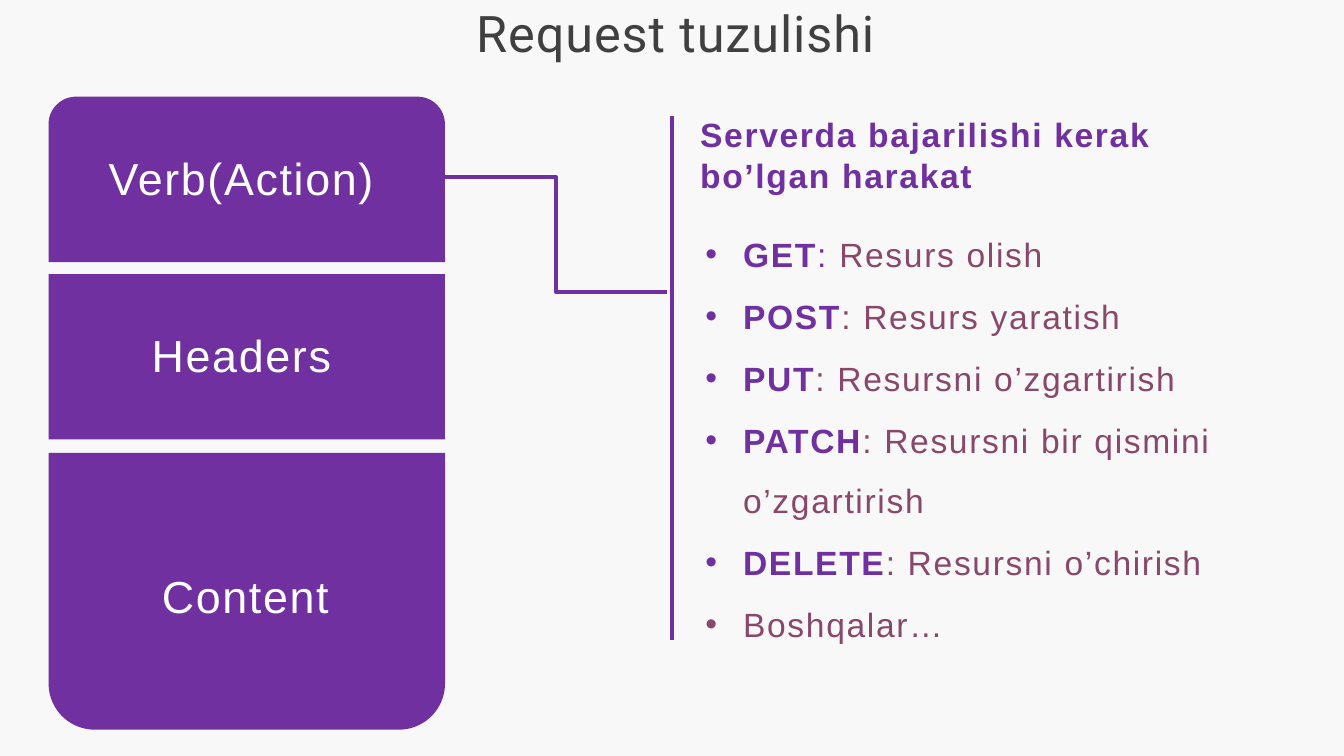
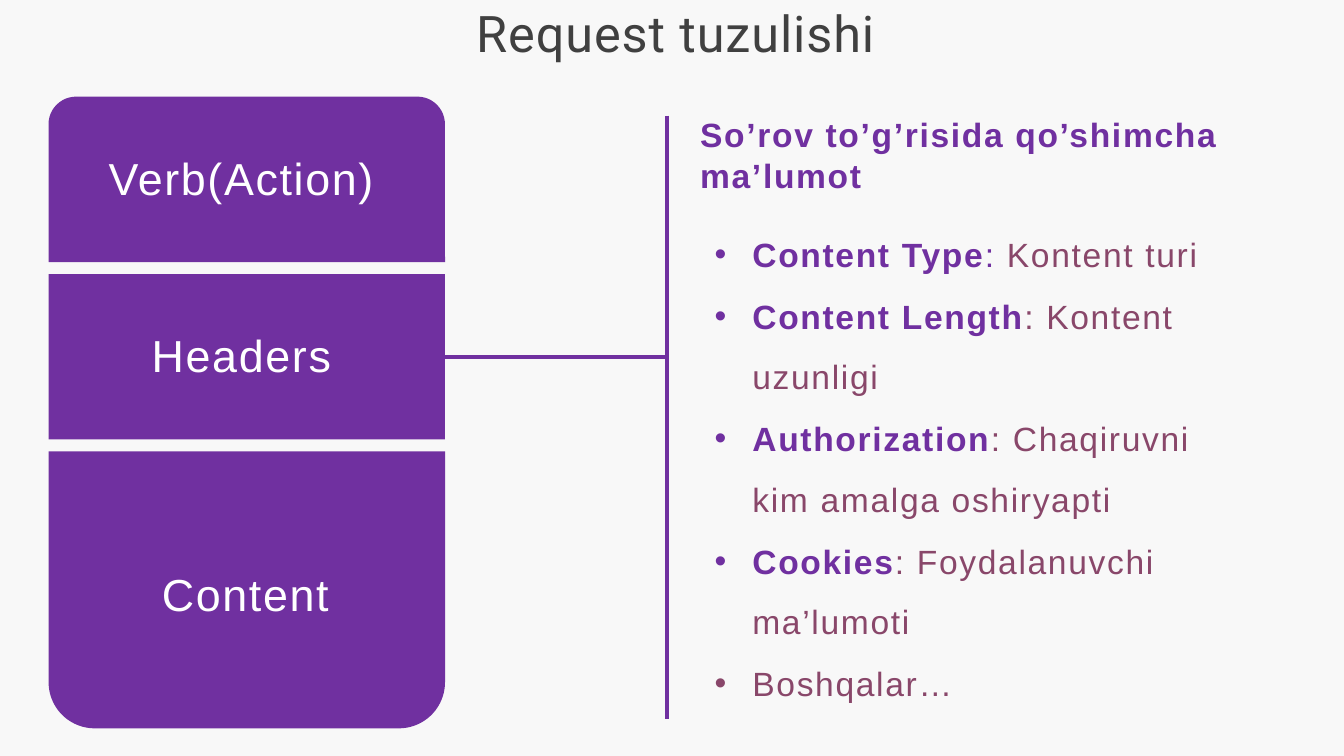
from lxml.etree import SubElement
from pptx import Presentation
from pptx.dml.color import RGBColor
from pptx.enum.shapes import MSO_CONNECTOR, MSO_SHAPE
from pptx.enum.text import MSO_AUTO_SIZE
from pptx.oxml.ns import qn
from pptx.util import Pt

BACKGROUND = RGBColor(0xF8, 0xF8, 0xF8)
PURPLE = RGBColor(0x70, 0x30, 0xA0)
PLUM = RGBColor(0x89, 0x47, 0x6A)
GRAY = RGBColor(0x40, 0x40, 0x40)
WHITE = RGBColor(0xFF, 0xFF, 0xFF)

TITLE = {"name": "Roboto", "size": Pt(27), "color": GRAY, "spacing": 50}
LABEL = {"name": "Arial", "size": Pt(24), "color": WHITE, "spacing": 90}
BODY = {"name": "Arial", "size": Pt(18), "color": PLUM, "spacing": 90, "bold": False}
COLON = {**BODY, "color": PURPLE}
TERM = {**COLON, "bold": True}

BAND_LEFT, BAND_WIDTH, BAND_HEIGHT = 26, 212.4, 88.6
BAND_RIGHT = BAND_LEFT + BAND_WIDTH
VERB_TOP, HEADERS_TOP = 51.8, 146.9
PANEL_LEFT, PANEL_WIDTH, RULE_TOP = 357.2, 306, 62

VERBS = [
    ("GET", ": ", "Resurs olish"),
    ("POST", "", ": Resurs yaratish"),
    ("PUT", "", ": Resursni o’zgartirish"),
    ("PATCH", "", ": Resursni bir qismini o’zgartirish"),
    ("DELETE", "", ": Resursni o’chirish"),
    ("", "", "Boshqalar…"),
]
HEADERS = [
    ("Content Type", ": ", "Kontent turi"),
    ("Content Length", "", ": Kontent uzunligi"),
    ("Authorization", "", ": Chaqiruvni kim amalga oshiryapti"),
    ("Cookies", "", ": Foydalanuvchi ma’lumoti"),
    ("", "", "Boshqalar…"),
]


def add_run(p, text, style):
    """Append a run formatted from a style dict."""
    r = p.add_run()
    r.text = text
    for name, value in style.items():
        if name == "color":
            r.font.color.rgb = value
        elif name == "spacing":
            r.font._element.set("spc", str(value))
        else:
            setattr(r.font, name, value)


def add_text_frame(s, left, top, width, height):
    """Add a wrapping text box and return its text frame."""
    tf = s.shapes.add_textbox(Pt(left), Pt(top), Pt(width), Pt(height)).text_frame
    tf.word_wrap = True
    tf.auto_size = MSO_AUTO_SIZE.SHAPE_TO_FIT_TEXT
    return tf


def format_paragraph(p, margin, indent=0):
    """Set the left margin, indent and space before of a paragraph."""
    p.space_before = Pt(0.8)
    pPr = p._p.get_or_add_pPr()
    pPr.set("marL", str(Pt(margin)))
    pPr.set("indent", str(Pt(indent)))
    return pPr


def add_text(s, left, top, width, height, text, style, margin=10.8):
    """Add a text box holding one paragraph."""
    tf = add_text_frame(s, left, top, width, height)
    format_paragraph(tf.paragraphs[0], margin)
    add_run(tf.paragraphs[0], text, style)
    return tf


def add_title(s):
    """Add the shared slide title."""
    tf = add_text(s, 254.2, 0, 250.6, 33.1, "Request tuzulishi", TITLE, 0.9)
    for side, inset in {"left": 0, "top": 0.9, "right": 0, "bottom": 0}.items():
        setattr(tf, f"margin_{side}", Pt(inset))


def add_band(s, kind, top, height, rotation=0):
    """Add one purple band of the request diagram."""
    sp = s.shapes.add_shape(kind, Pt(BAND_LEFT), Pt(top), Pt(BAND_WIDTH), Pt(height))
    sp.shadow.inherit = False
    sp.fill.solid()
    sp.fill.fore_color.rgb = PURPLE
    sp.line.fill.background()
    sp.rotation = rotation
    return sp


def add_request(s, content_top):
    """Add the three labelled bands and return the headers band."""
    add_band(s, MSO_SHAPE.ROUND_2_SAME_RECTANGLE, VERB_TOP, BAND_HEIGHT)
    headers = add_band(s, MSO_SHAPE.RECTANGLE, HEADERS_TOP, BAND_HEIGHT)
    add_band(s, MSO_SHAPE.ROUND_2_SAME_RECTANGLE, content_top, 148.3, 180)
    for text, left, top, width in (
        ("Verb(Action)", 40.3, VERB_TOP + 25.2, 198),
        ("Headers", 63.4, HEADERS_TOP + 25.2, 136.8),
        ("Content", 68.8, content_top + 58.3, 121.4),
    ):
        add_text(s, left, top, width, 36, text, LABEL)
    return headers


def add_line(s, kind, x1, y1, x2, y2):
    """Add a purple connector without a shadow."""
    line = s.shapes.add_connector(kind, Pt(x1), Pt(y1), Pt(x2), Pt(y2))
    line.line.color.rgb = PURPLE
    line.line.width = Pt(2.25)
    SubElement(line._element.spPr, qn("a:effectLst"))
    return line


def add_bullets(s, left, height, items):
    """Add the bulleted list of terms and explanations."""
    tf = add_text_frame(s, left, 110.9, PANEL_LEFT + PANEL_WIDTH - left, height)
    for i, item in enumerate(items):
        p = tf.add_paragraph() if i else tf.paragraphs[0]
        p.line_spacing = 1.5
        pPr = format_paragraph(p, 31, -20.2)
        SubElement(pPr, qn("a:buFont")).set("typeface", "Arial")
        SubElement(pPr, qn("a:buChar")).set("char", "•")
        for text, style in zip(item, (TERM, COLON, BODY)):
            if text:
                add_run(p, text, style)


def add_panel(s, heading, items, rule_x, rule_bottom, list_left, list_height):
    """Add the vertical rule, heading and list on the right."""
    add_line(s, MSO_CONNECTOR.STRAIGHT, rule_x, RULE_TOP, rule_x, rule_bottom)
    add_text(s, PANEL_LEFT, 57.6, PANEL_WIDTH, 51.1, heading, TERM)
    add_bullets(s, list_left, list_height, items)


def add_slide(prs, content_top):
    """Add a slide with the title and request diagram."""
    s = prs.slides.add_slide(prs.slide_layouts[6])
    s.background.fill.solid()
    s.background.fill.fore_color.rgb = BACKGROUND
    add_title(s)
    return s, add_request(s, content_top)


def main():
    """Build and save the presentation."""
    prs = Presentation()
    prs.slide_width, prs.slide_height = Pt(720), Pt(405)

    s, _ = add_slide(prs, 242.6)
    add_panel(s, "Serverda bajarilishi kerak bo’lgan harakat", VERBS, 360, 342.7, 360, 270.7)
    add_line(s, MSO_CONNECTOR.ELBOW, BAND_RIGHT, 95, PANEL_LEFT, 156.4)

    s, headers = add_slide(prs, 241.9)
    add_panel(s, "So’rov to’g’risida qo’shimcha ma’lumot", HEADERS, PANEL_LEFT, 385, 365, 302.4)
    middle = HEADERS_TOP + BAND_HEIGHT / 2
    link = add_line(s, MSO_CONNECTOR.STRAIGHT, BAND_RIGHT, middle, PANEL_LEFT, middle)
    link.begin_connect(headers, 3)

    prs.save("out.pptx")


if __name__ == "__main__":
    main()
